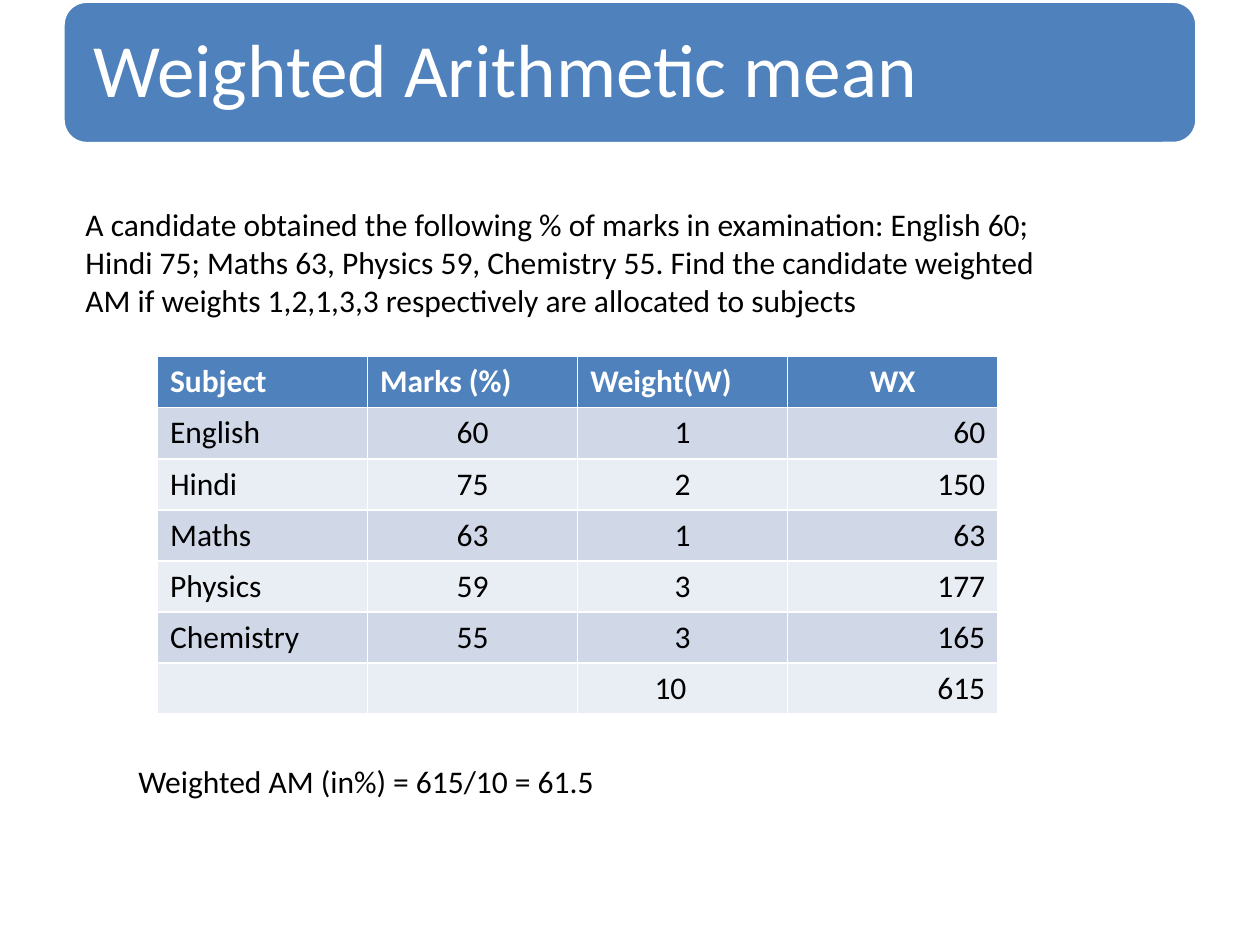
from pptx import Presentation
from pptx.dml.color import RGBColor as RGB
from pptx.enum.shapes import MSO_SHAPE as Shape
from pptx.enum.text import MSO_ANCHOR as Anchor, MSO_AUTO_SIZE as Fit, PP_ALIGN as Align
from pptx.util import Inches, Pt

COLORS = {"blue": "4F81BD", "white": "FFFFFF", "black": "000000",
          "dark": "D0D8E8", "light": "E9EDF4"}
FONT = "Calibri"

HEADS = ["Subject", "Marks (%)", "Weight(W)", "WX"]
MARKS = [("English", 60, 1), ("Hindi", 75, 2), ("Maths", 63, 1),
         ("Physics", 59, 3), ("Chemistry", 55, 3)]


class Deck:
    def __init__(self, wide, high):
        self.prs = Presentation()
        self.prs.slide_width, self.prs.slide_height = Inches(wide), Inches(high)
        self.slide = self.prs.slides.add_slide(self.prs.slide_layouts[5])

    def color(self, name):
        return RGB.from_string(COLORS[name])

    def style(self, para, size=18, color="black", bold=False, align=Align.LEFT):
        para.alignment = align
        font = para.font
        font.name, font.size, font.bold = FONT, Pt(size), bold
        font.color.rgb = self.color(color)

    def banner(self, x, y, w, h):
        box = self.slide.shapes.add_shape(
            Shape.ROUNDED_RECTANGLE, Inches(x), Inches(y), Inches(w), Inches(h))
        box.shadow.inherit = False
        box.fill.solid()
        box.fill.fore_color.rgb = self.color("blue")
        box.line.color.rgb = self.color("white")
        box.line.width = Pt(2)

    def title(self, text, x, y, w, h):
        shape = self.slide.shapes.title
        shape.left, shape.top = Inches(x), Inches(y)
        shape.width, shape.height = Inches(w), Inches(h)
        frame = shape.text_frame
        frame.text = text
        frame.auto_size = Fit.NONE
        frame.vertical_anchor = Anchor.MIDDLE
        frame.margin_left = frame.margin_right = Inches(0.18)
        frame.margin_top = frame.margin_bottom = Inches(0.18)
        para = frame.paragraphs[0]
        para.line_spacing = 0.9
        self.style(para, 43, "white")
        # Bring the title in front of the banner
        self.slide.shapes._spTree.append(shape._element)

    def text(self, words, x, y, w, h):
        frame = self.slide.shapes.add_textbox(
            Inches(x), Inches(y), Inches(w), Inches(h)).text_frame
        frame.word_wrap = True
        frame.auto_size = Fit.SHAPE_TO_FIT_TEXT
        frame.text = words
        self.style(frame.paragraphs[0])

    def table(self, rows, aligns, x, y, w, h):
        table = self.slide.shapes.add_table(
            len(rows), len(rows[0]), Inches(x), Inches(y), Inches(w), Inches(h)).table
        for r, row in enumerate(rows):
            fill = "blue" if r == 0 else ("light", "dark")[r % 2]
            for c, value in enumerate(row):
                cell = table.cell(r, c)
                cell.fill.solid()
                cell.fill.fore_color.rgb = self.color(fill)
                cell.text = str(value)
                para = cell.text_frame.paragraphs[0]
                if r == 0:
                    last = c == len(row) - 1
                    self.style(para, color="white", bold=True,
                               align=Align.CENTER if last else Align.LEFT)
                else:
                    self.style(para, align=aligns[c])
        return table


def main():
    deck = Deck(10, 7.5)

    # Heading
    deck.banner(0.5, 0.01, 9, 1.13)
    deck.title("Weighted Arithmetic mean", 0.56, 0.07, 8.89, 1.02)

    # Problem
    deck.text("A candidate obtained the following % of marks in examination: "
              "English 60; Hindi 75; Maths 63, Physics 59, Chemistry 55. "
              "Find the candidate weighted AM if weights 1,2,1,3,3 "
              "respectively are allocated to subjects", 0.58, 1.58, 8.08, 1.01)

    # Marks, weights and their products, with totals in the last row
    body = [(name, mark, weight, mark * weight) for name, mark, weight in MARKS]
    total = ("", "", sum(row[2] for row in body), sum(row[3] for row in body))
    table = deck.table([HEADS, *body, total],
                       [Align.LEFT, Align.CENTER, Align.CENTER, Align.RIGHT],
                       1.25, 2.83, 6.67, 2.84)
    # The weight total is set by indent
    cell = table.cell(len(body) + 1, 2)
    cell.margin_left = Inches(0.61)
    cell.text_frame.paragraphs[0].alignment = Align.LEFT

    # Result
    deck.text("Weighted AM (in%) = 615/10 = 61.5", 1, 6, 7.5, 0.4)

    deck.prs.save("out.pptx")


if __name__ == "__main__":
    main()
